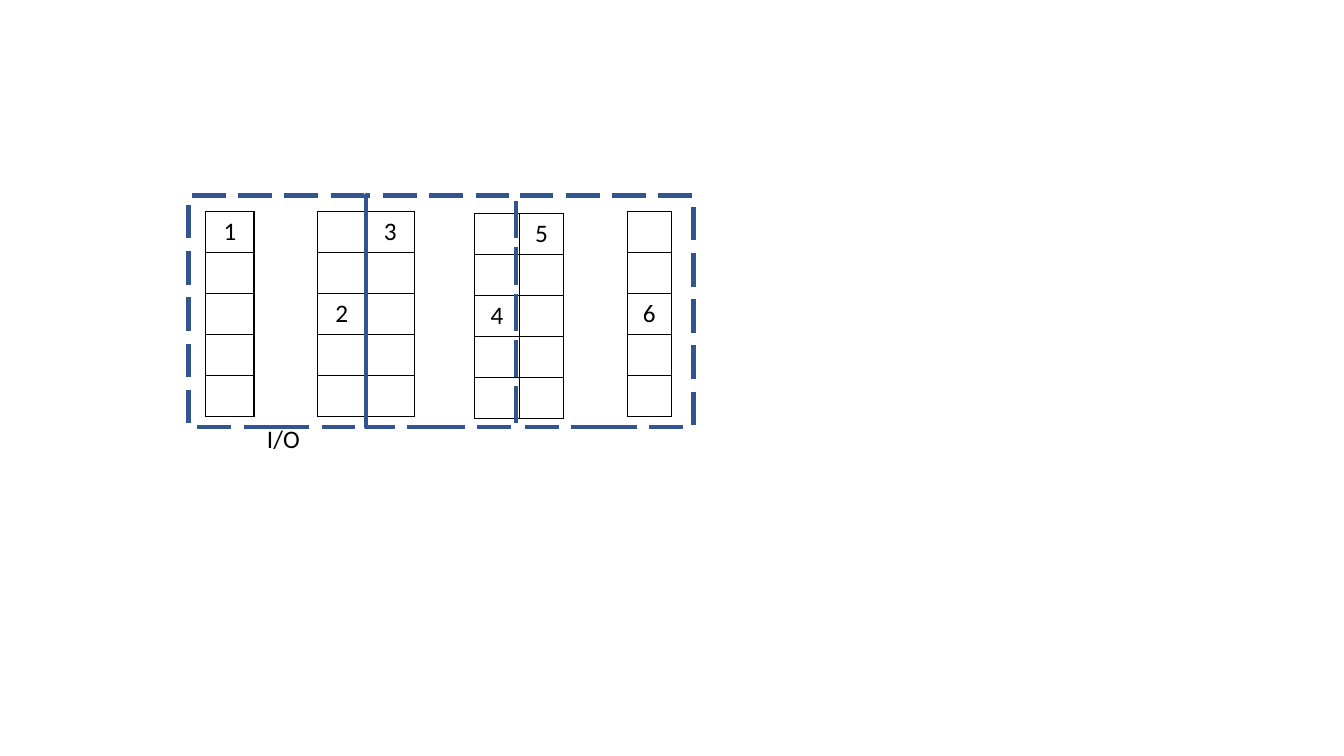
from lxml import etree
from pptx import Presentation
from pptx.dml.color import RGBColor
from pptx.enum import dml, shapes, text
from pptx.oxml import ns
from pptx.util import Inches, Pt

BLACK = RGBColor(0x00, 0x00, 0x00)
BLUE = RGBColor(0x32, 0x54, 0x91)

ROWS = 5
RACK_HEIGHT = 2.03
ZONE_TOP, ZONE_HEIGHT = 1.94, 2.3

# left, top, column width, columns, labels by (row, column)
RACKS = [
    (2.04, 2.1, 0.48, 1, {(0, 0): "1"}),
    (3.15, 2.1, 0.48, 2, {(0, 1): "3", (2, 0): "2"}),
    (4.71, 2.12, 0.44, 2, {(0, 1): "5", (2, 0): "4"}),
    (6.22, 2.1, 0.44, 1, {(2, 0): "6"}),
]
ZONE_LEFT = 1.87
ZONE_WIDTHS = [1.76, 1.49, 1.76]


def apply(target, values):
    """Set each attribute named in values on the target."""
    for name, value in values.items():
        setattr(target, name, value)


class Painter:
    """Holds the style and the current slide."""

    font = {"name": "Calibri", "size": Pt(18), "bold": False}
    plain_table = {"first_row": False, "horz_banding": False}
    zone_line = {"width": Pt(3), "dash_style": dml.MSO_LINE.LONG_DASH}

    def __init__(self, page):
        """Remember the page to draw on."""
        self.page = page

    def add_words(self, frame, words, align):
        """Put one styled line of words in a text frame."""
        para = frame.paragraphs[0]
        para.alignment = align
        span = para.add_run()
        span.text = words
        apply(span.font, self.font)
        span.font.color.rgb = BLACK

    def border(self, cell):
        """Draw a thin black line on all four sides of a cell."""
        properties = cell._tc.get_or_add_tcPr()
        for index, side in enumerate(("lnL", "lnR", "lnT", "lnB")):
            line = etree.Element(ns.qn("a:" + side), w=str(Pt(1)))
            fill = etree.SubElement(line, ns.qn("a:solidFill"))
            etree.SubElement(fill, ns.qn("a:srgbClr"), val=str(BLACK))
            properties.insert(index, line)

    def rack(self, left, top, column_width, columns, labels):
        """Add a table of empty slots, some of them numbered."""
        table = self.page.shapes.add_table(
            ROWS, columns, Inches(left), Inches(top),
            Inches(column_width * columns), Inches(RACK_HEIGHT)).table
        apply(table, self.plain_table)
        for row in range(ROWS):
            for column in range(columns):
                cell = table.cell(row, column)
                cell.fill.background()
                self.border(cell)
                if (row, column) in labels:
                    self.add_words(cell.text_frame, labels[row, column],
                                   text.PP_ALIGN.CENTER)

    def label(self, words, left, top, width, height):
        """Add a text box that grows with its words."""
        box = self.page.shapes.add_textbox(
            Inches(left), Inches(top), Inches(width), Inches(height))
        apply(box.text_frame, {
            "word_wrap": False,
            "auto_size": text.MSO_AUTO_SIZE.SHAPE_TO_FIT_TEXT})
        self.add_words(box.text_frame, words, text.PP_ALIGN.LEFT)

    def zone(self, left, width):
        """Add a dashed, unfilled rectangle."""
        box = self.page.shapes.add_shape(
            shapes.MSO_SHAPE.RECTANGLE, Inches(left), Inches(ZONE_TOP),
            Inches(width), Inches(ZONE_HEIGHT))
        box.shadow.inherit = False
        box.fill.background()
        box.line.color.rgb = BLUE
        apply(box.line, self.zone_line)


def main():
    """Build the warehouse layout and save it."""
    deck = Presentation()
    apply(deck, {"slide_width": Inches(13.33), "slide_height": Inches(7.5)})
    painter = Painter(deck.slides.add_slide(deck.slide_layouts[6]))
    for rack in RACKS:
        painter.rack(*rack)
    painter.label("I/O", 2.55, 4.15, 0.53, 0.4)
    left = ZONE_LEFT
    for width in ZONE_WIDTHS:
        painter.zone(left, width)
        left += width
    deck.save("out.pptx")


main()
